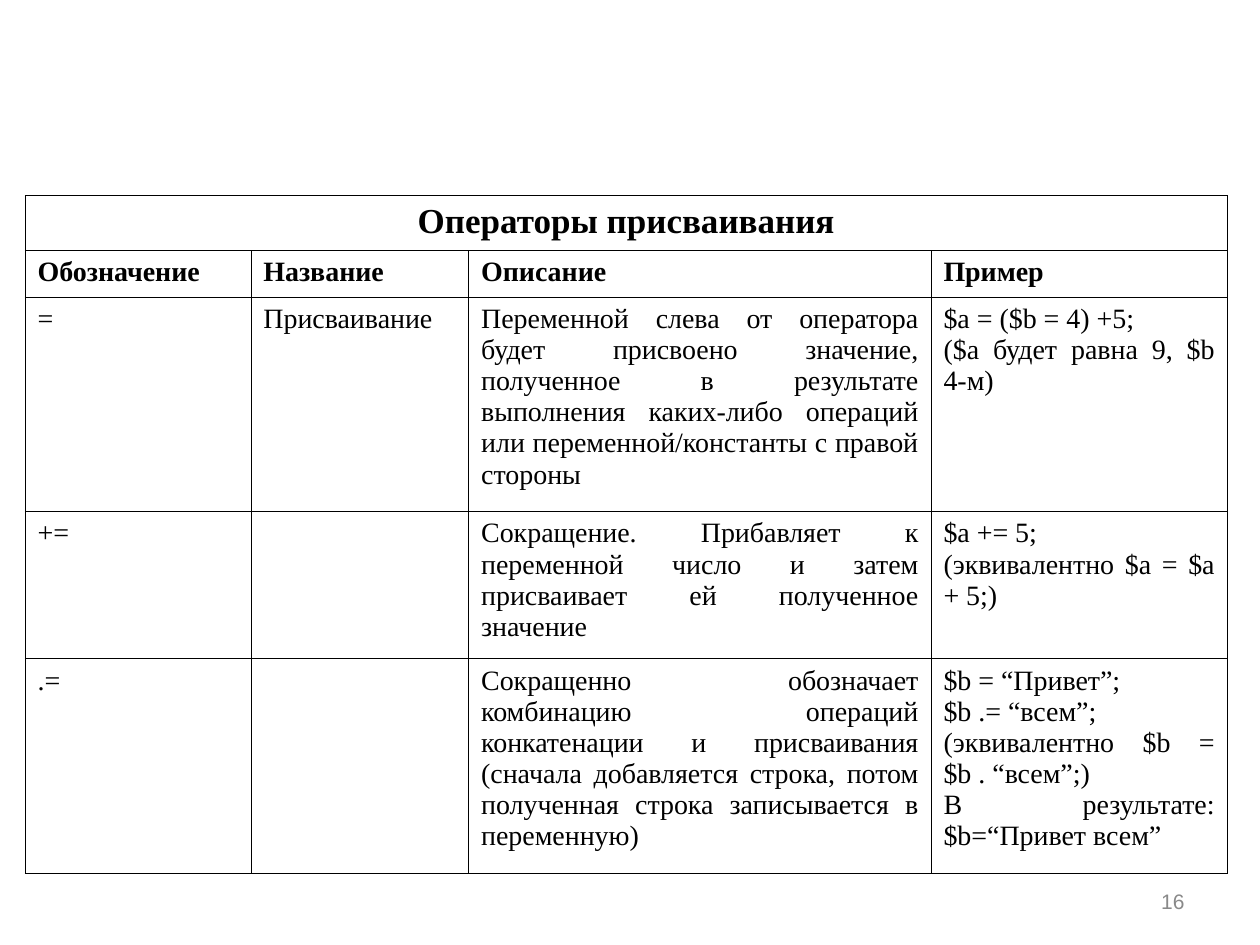
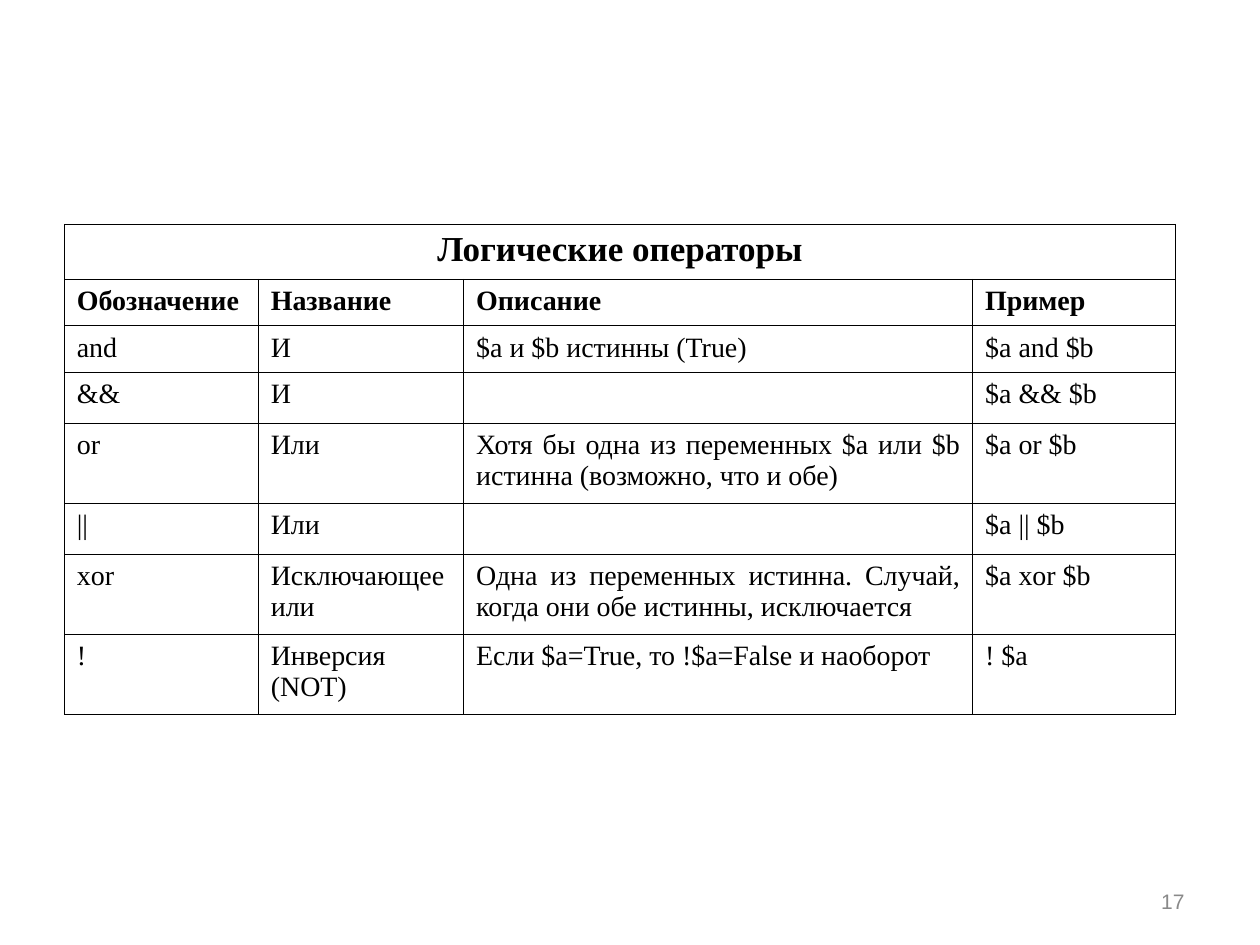
from lxml.etree import SubElement
from pptx import Presentation
from pptx.dml.color import RGBColor
from pptx.enum.text import MSO_ANCHOR, PP_ALIGN
from pptx.oxml.ns import qn
from pptx.util import Cm, Pt

# Shared look
BORDER_COLOR = "000000"
BORDER_WIDTH = Pt(0.45)
BODY = {"name": "Times New Roman", "size": Pt(16), "bold": False, "color": "000000"}
HEADER = {**BODY, "bold": True}
CAPTION = {**HEADER, "size": Pt(20)}
PAGE_NUMBER = {"name": "Arial", "size": Pt(12), "bold": False, "color": "898989"}
INSETS = {"margin_left": Cm(0.25), "margin_right": Cm(0.25),
          "margin_top": Cm(0.13), "margin_bottom": Cm(0.13)}
PAGE_NUMBER_BOX = (18.2, 17.66, 5.93, 1.01)
COLUMN_TITLES = ["Обозначение", "Название", "Описание", "Пример"]
CAPTION_HEIGHT, LINE_HEIGHT = 1.11, 0.93

# Slide contents, lengths in centimetres
ASSIGNMENT = {
    "caption": "Операторы присваивания",
    "box": (0.51, 3.94, 24.23, 13.64),
    "columns": [4.55, 4.39, 9.32, 5.97],
    "row_heights": [4.32, 2.96, 4.32],
    "rows": [
        ["=", "Присваивание",
         "Переменной слева от оператора будет присвоено значение, полученное в результате "
         "выполнения каких-либо операций или переменной/константы с правой стороны",
         "$a = ($b = 4) +5;\n($a будет равна 9, $b 4-м)"],
        ["+=", "",
         "Сокращение. Прибавляет к переменной число и затем присваивает ей полученное значение",
         "$a += 5;\n(эквивалентно $a = $a + 5;)"],
        [".=", "",
         "Сокращенно обозначает комбинацию операций конкатенации и присваивания (сначала "
         "добавляется строка, потом полученная строка записывается в переменную)",
         "$b = “Привет”;\n$b .= “всем”;\n(эквивалентно $b = $b . “всем”;)\n"
         "В результате: $b=“Привет всем”"],
    ],
}
LOGICAL = {
    "caption": "Логические операторы",
    "box": (1.3, 4.52, 22.4, 9.65),
    "columns": [3.91, 4.14, 10.26, 4.09],
    "row_heights": [LINE_HEIGHT, LINE_HEIGHT, 1.6, LINE_HEIGHT, 1.6, 1.6],
    "rows": [
        ["and", "И", "$a и $b истинны (True)", "$a and $b"],
        ["&&", "И", "", "$a && $b"],
        ["or", "Или", "Хотя бы одна из переменных $a или $b истинна (возможно, что и обе)",
         "$a or $b"],
        ["||", "Или", "", "$a || $b"],
        ["xor", "Исключающее или",
         "Одна из переменных истинна. Случай, когда они обе истинны, исключается", "$a xor $b"],
        ["!", "Инверсия (NOT)", "Если $a=True, то !$a=False и наоборот", "! $a"],
    ],
}


def rgb(hex_color):
    return RGBColor.from_string(hex_color)


def set_attributes(target, values):
    for name, value in values.items():
        if name == "color":
            target.color.rgb = rgb(value)
        else:
            setattr(target, name, value)


def write_text(text_frame, text, font_format, alignment):
    text_frame.text = text
    for paragraph in text_frame.paragraphs:
        paragraph.alignment = alignment
        for run in paragraph.runs:
            set_attributes(run.font, font_format)


def frame_cell(cell):
    """Draw a thin line on all four sides and leave the cell unfilled."""
    properties = cell._tc.get_or_add_tcPr()
    for side in ("a:lnL", "a:lnR", "a:lnT", "a:lnB"):
        line = SubElement(properties, qn(side), w=str(BORDER_WIDTH))
        fill = SubElement(line, qn("a:solidFill"))
        SubElement(fill, qn("a:srgbClr"), val=BORDER_COLOR)
    cell.fill.background()


def add_operator_table(slide, content):
    rows = [[content["caption"], "", "", ""], COLUMN_TITLES, *content["rows"]]
    heights = [CAPTION_HEIGHT, LINE_HEIGHT, *content["row_heights"]]
    box = [Cm(length) for length in content["box"]]
    table = slide.shapes.add_table(len(rows), len(COLUMN_TITLES), *box).table
    set_attributes(table, {"first_row": False, "horz_banding": False})
    for column, width in zip(table.columns, content["columns"]):
        column.width = Cm(width)
    for row, height in zip(table.rows, heights):
        row.height = Cm(height)

    # Caption row spans the table, column titles follow
    table.cell(0, 0).merge(table.cell(0, len(COLUMN_TITLES) - 1))
    formats = {0: (CAPTION, PP_ALIGN.CENTER), 1: (HEADER, PP_ALIGN.JUSTIFY)}
    for row_index, texts in enumerate(rows):
        font_format, alignment = formats.get(row_index, (BODY, PP_ALIGN.JUSTIFY))
        for column_index, text in enumerate(texts):
            cell = table.cell(row_index, column_index)
            set_attributes(cell, INSETS)
            frame_cell(cell)
            if text:
                write_text(cell.text_frame, text, font_format, alignment)


def add_page_number(slide, number, box):
    text_frame = slide.shapes.add_textbox(*(Cm(length) for length in box)).text_frame
    set_attributes(text_frame, {**INSETS, "word_wrap": True,
                                "vertical_anchor": MSO_ANCHOR.MIDDLE})
    write_text(text_frame, str(number), PAGE_NUMBER, PP_ALIGN.RIGHT)


def main():
    presentation = Presentation()
    presentation.slide_width, presentation.slide_height = Cm(25.4), Cm(19.05)
    blank_layout = presentation.slide_layouts[6]
    for number, content in enumerate([ASSIGNMENT, LOGICAL], start=16):
        slide = presentation.slides.add_slide(blank_layout)
        add_page_number(slide, number, PAGE_NUMBER_BOX)
        add_operator_table(slide, content)
    presentation.save("out.pptx")


if __name__ == "__main__":
    main()
